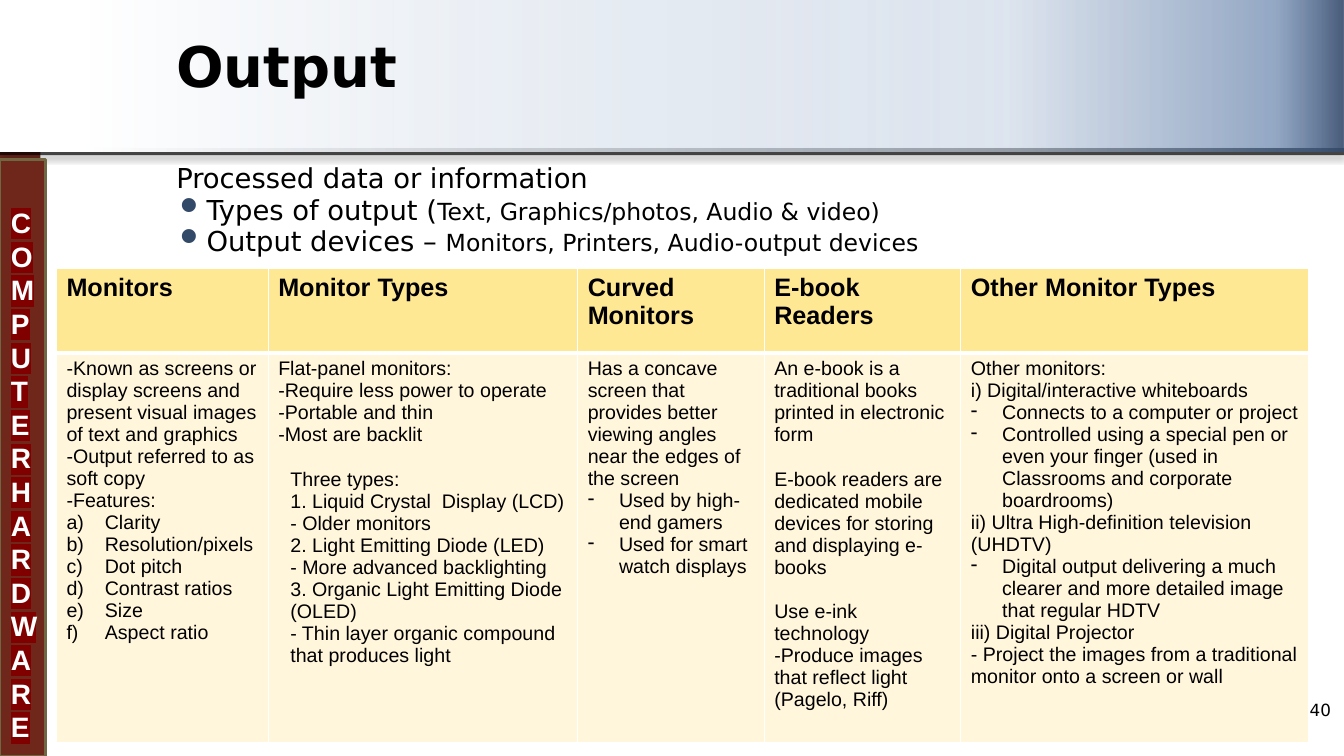
from dataclasses import dataclass

from lxml import etree
from pptx import Presentation
from pptx.dml.color import RGBColor
from pptx.enum.shapes import MSO_SHAPE
from pptx.enum.text import MSO_ANCHOR, PP_ALIGN
from pptx.oxml import parse_xml
from pptx.oxml.ns import qn
from pptx.util import Inches, Pt

RECTANGLE = MSO_SHAPE.RECTANGLE
MIDDLE = MSO_ANCHOR.MIDDLE
TOP = MSO_ANCHOR.TOP
LEFT = PP_ALIGN.LEFT
RIGHT = PP_ALIGN.RIGHT
NAMESPACE = 'xmlns:a="http://schemas.openxmlformats.org/drawingml/2006/main"'
HEADING_FONT = "DejaVu Sans"
TABLE_FONT = "Arial"
BLACK = "000000"
WHITE = "FFFFFF"


@dataclass(frozen=True)
class Line:
    text: str
    indent: float = 0
    bullet: str = ""
    space_before: float = 0


@dataclass(frozen=True)
class Column:
    heading: str
    width: float
    lines: list[Line]


@dataclass(frozen=True)
class Stop:
    position: int
    color: str
    opacity: int = 100


def lettered(text: str) -> Line:
    return Line(text, 0.38, "a)")


def dashed(text: str) -> Line:
    return Line(text, 0.31, "-")


def inset(text: str, space_before: float = 0) -> Line:
    return Line(text, 0.12, "", space_before)


BLANK_LINE = 16
COLUMNS = [
    Column("Monitors", 2.1, [
        Line("-Known as screens or display screens and present visual images of text and graphics"),
        Line("-Output referred to as soft copy"),
        Line("-Features:"),
        *map(lettered, ["Clarity", "Resolution/pixels", "Dot pitch", "Contrast ratios",
                        "Size", "Aspect ratio"]),
    ]),
    Column("Monitor Types", 3.07, [
        Line("Flat-panel monitors:"),
        Line("-Require less power to operate"),
        Line("-Portable and thin"),
        Line("-Most are backlit"),
        inset("Three types:", BLANK_LINE),
        inset("1. Liquid Crystal  Display (LCD)"),
        inset("- Older monitors"),
        inset("2. Light Emitting Diode (LED)"),
        inset("- More advanced backlighting"),
        inset("3. Organic Light Emitting Diode (OLED)"),
        inset("- Thin layer organic compound that produces light"),
    ]),
    Column("Curved Monitors", 1.85, [
        Line("Has a concave screen that provides better viewing angles near the edges of the screen"),
        dashed("Used by high-end gamers"),
        dashed("Used for smart watch displays"),
    ]),
    Column("E-book Readers", 1.95, [
        Line("An e-book is a traditional books printed in electronic form"),
        Line("E-book readers are dedicated mobile devices for storing and displaying e-books",
             space_before=BLANK_LINE),
        Line("Use e-ink technology", space_before=BLANK_LINE),
        Line("-Produce images that reflect light (Pagelo, Riff)"),
    ]),
    Column("Other Monitor Types", 3.45, [
        Line("Other monitors:"),
        Line("i) Digital/interactive whiteboards"),
        dashed("Connects to a computer or project"),
        dashed("Controlled using a special pen or even your finger (used in Classrooms and "
               "corporate boardrooms)"),
        Line("ii) Ultra High-definition television (UHDTV)"),
        dashed("Digital output delivering a much clearer and more detailed image that regular HDTV"),
        Line("iii) Digital Projector"),
        Line("- Project the images from a traditional monitor onto a screen or wall"),
    ]),
]
SUMMARY = [
    ("", ["Processed data or information"]),
    ("⚫", ["Types of output (", "Text, Graphics/photos, Audio & video)"]),
    ("⚫", ["Output devices – ", "Monitors, Printers, Audio-output devices"]),
]
BANNER_STOPS = [Stop(0, WHITE), Stop(6, WHITE), Stop(75, "C8D4E4", 60),
                Stop(95, "4C6E9D", 60), Stop(100, "344A6B", 90)]


def rgb(color: str) -> RGBColor:
    return RGBColor.from_string(color)


def color_xml(color: str, opacity: int = 100) -> str:
    return f'<a:srgbClr val="{color}"><a:alpha val="{opacity * 1000}"/></a:srgbClr>'


def style(run, size: float, name: str, color: str = BLACK, bold: bool = False) -> None:
    run.font.size = Pt(size)
    run.font.name = name
    run.font.bold = bold
    run.font.color.rgb = rgb(color)


def set_indent(paragraph, indent: float, bullet: str, color: str, percent: int = 100) -> None:
    properties = paragraph._p.get_or_add_pPr()
    properties.set("marL", str(Inches(indent)))
    properties.set("indent", str(-Inches(indent) if bullet else 0))
    if not bullet:
        return
    etree.SubElement(etree.SubElement(properties, qn("a:buClr")), qn("a:srgbClr"), val=color)
    etree.SubElement(properties, qn("a:buSzPct"), val=str(percent * 1000))
    if bullet == "a)":
        etree.SubElement(properties, qn("a:buAutoNum"), type="alphaLcParenR")
    else:
        etree.SubElement(properties, qn("a:buChar"), char=bullet)


def add_bar(slide, left: float, top: float, width: float, height: float, color: str):
    bar = slide.shapes.add_shape(RECTANGLE, Inches(left), Inches(top), Inches(width), Inches(height))
    bar.shadow.inherit = False
    bar.fill.solid()
    bar.fill.fore_color.rgb = rgb(color)
    bar.line.fill.background()
    return bar


def add_text_frame(slide, left: float, top: float, width: float, height: float, anchor=TOP):
    box = slide.shapes.add_textbox(Inches(left), Inches(top), Inches(width), Inches(height))
    box.text_frame.word_wrap = True
    box.text_frame.vertical_anchor = anchor
    return box.text_frame


def add_banner(slide) -> None:
    add_bar(slide, 0, 1.47, 0.4, 0.13, "6F261B")
    rule = add_bar(slide, 0, 1.47, 13.33, 0.07, BLACK)
    rule.fill._xPr.find(qn("a:solidFill"))[0].append(parse_xml(f'<a:alpha {NAMESPACE} val="70000"/>'))
    rule._element.spPr.find(qn("a:effectLst")).append(parse_xml(
        f'<a:outerShdw {NAMESPACE} blurRad="{Pt(4)}" dist="{Pt(3)}" dir="5400000" '
        f'rotWithShape="0">{color_xml(BLACK, 40)}</a:outerShdw>'))
    banner = add_bar(slide, 0, 0, 13.33, 1.5, WHITE)
    stops = "".join(f'<a:gs pos="{stop.position * 1000}">{color_xml(stop.color, stop.opacity)}</a:gs>'
                    for stop in BANNER_STOPS)
    solid = banner._element.spPr.find(qn("a:solidFill"))
    solid.getparent().replace(solid, parse_xml(
        f'<a:gradFill {NAMESPACE}><a:gsLst>{stops}</a:gsLst><a:lin ang="0" scaled="0"/></a:gradFill>'))


def add_sidebar(slide) -> None:
    sidebar = add_bar(slide, 0, 1.58, 0.45, 5.92, "6F271C")
    sidebar.line.color.rgb = rgb("706641")
    sidebar.line.width = Pt(2)
    frame = add_text_frame(slide, 0.01, 1.99, 0.45, 5.49)
    frame.text = "COMPUTER HARDWARE"
    run = frame.paragraphs[0].runs[0]
    style(run, 20, TABLE_FONT, WHITE, True)
    run._r.rPr.find(qn("a:solidFill")).addnext(
        parse_xml(f'<a:highlight {NAMESPACE}>{color_xml("800000")}</a:highlight>'))
    frame.paragraphs[0].line_spacing = Pt(24)


def add_title(slide) -> None:
    title = slide.shapes.title
    title.left, title.top, title.width, title.height = map(Inches, (1.65, 0, 11.58, 1.3))
    title.text_frame.text = "Output"
    title.text_frame.vertical_anchor = MIDDLE
    title.text_frame.paragraphs[0].alignment = LEFT
    style(title.text_frame.paragraphs[0].runs[0], 40, HEADING_FONT, BLACK, True)
    slide.shapes._spTree.append(title._element)


def add_summary(slide) -> None:
    frame = add_text_frame(slide, 1.65, 1.61, 11.19, 1.05)
    for index, (bullet, parts) in enumerate(SUMMARY):
        paragraph = frame.add_paragraph() if index else frame.paragraphs[0]
        set_indent(paragraph, 0.3 if bullet else 0, bullet, "324968", 110)
        paragraph.line_spacing = 0.8
        paragraph.space_before = Pt(3.9 if index else 0)
        for text, size in zip(parts, (19.6, 16.8)):
            run = paragraph.add_run()
            run.text = text
            style(run, size, HEADING_FONT)


def fill_cell(cell, lines: list[Line], size: float, bold: bool, color: str, bottom: float) -> None:
    cell.fill.solid()
    cell.fill.fore_color.rgb = rgb(color)
    for index, (side, width) in enumerate(zip("LRTB", (1, 1, 1, bottom))):
        cell._tc.tcPr.insert(index, parse_xml(
            f'<a:ln{side} {NAMESPACE} w="{Pt(width)}"><a:solidFill>{color_xml(WHITE)}'
            f'</a:solidFill></a:ln{side}>'))
    for index, line in enumerate(lines):
        paragraph = cell.text_frame.add_paragraph() if index else cell.text_frame.paragraphs[0]
        paragraph.text = line.text
        set_indent(paragraph, line.indent, line.bullet, BLACK)
        paragraph.space_before = Pt(line.space_before)
        style(paragraph.runs[0], size, TABLE_FONT, BLACK, bold)


def add_monitor_table(slide) -> None:
    table = slide.shapes.add_table(2, len(COLUMNS), Inches(0.56), Inches(2.66),
                                   Inches(12.42), Inches(4.71)).table
    table.first_row = table.horz_banding = False
    table.rows[0].height, table.rows[1].height = Inches(0.84), Inches(3.87)
    for index, column in enumerate(COLUMNS):
        table.columns[index].width = Inches(column.width)
        fill_cell(table.cell(0, index), [Line(column.heading)], 18, True, "FFE894", 3)
        fill_cell(table.cell(1, index), column.lines, 14, False, "FFF6DC", 1)


def add_slide_number(slide) -> None:
    frame = add_text_frame(slide, 11.97, 6.89, 1.33, 0.3, MIDDLE)
    frame.text = "40"
    frame.paragraphs[0].alignment = RIGHT
    style(frame.paragraphs[0].runs[0], 12, HEADING_FONT)


def main() -> None:
    presentation = Presentation()
    presentation.slide_width, presentation.slide_height = Inches(13.33), Inches(7.5)
    slide = presentation.slides.add_slide(presentation.slide_layouts[5])
    for draw in (add_banner, add_sidebar, add_title, add_summary, add_slide_number, add_monitor_table):
        draw(slide)
    presentation.save("out.pptx")


if __name__ == "__main__":
    main()
